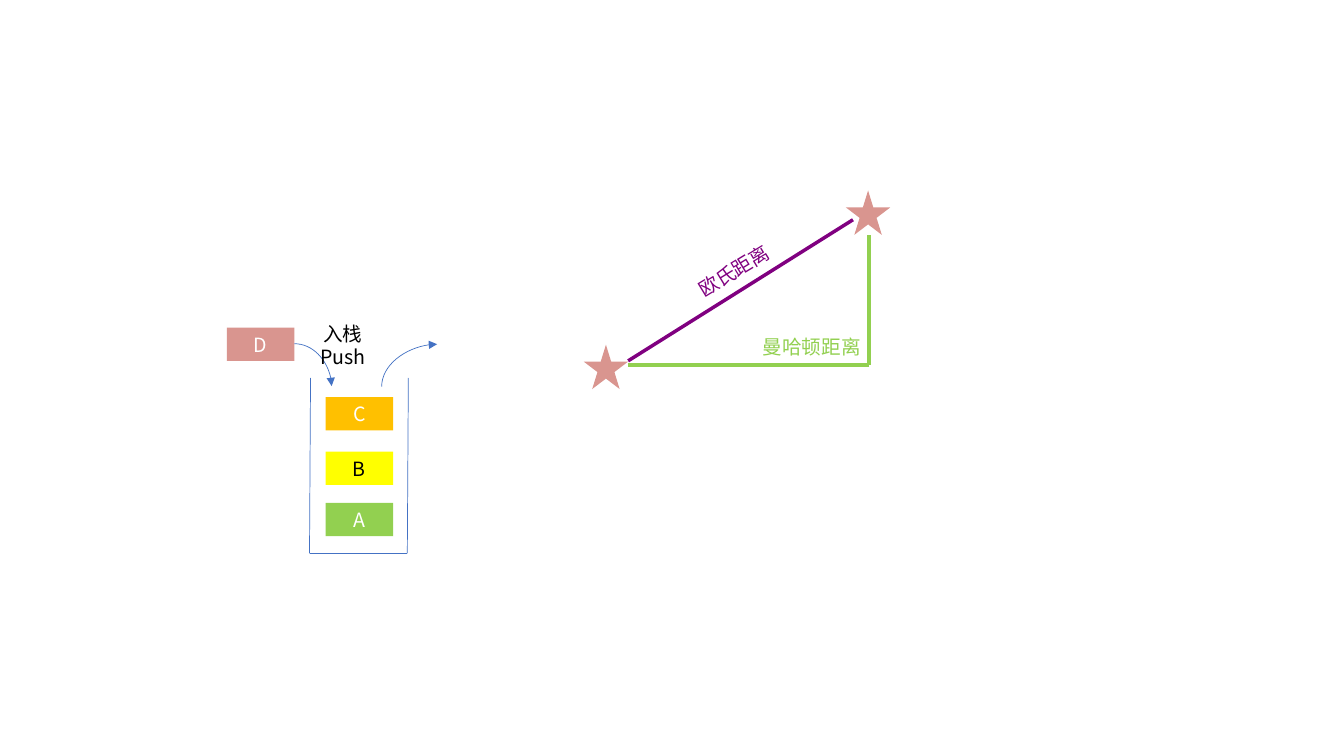
from lxml import etree
from pptx import Presentation
from pptx.dml.color import RGBColor
from pptx.enum.shapes import MSO_CONNECTOR, MSO_SHAPE
from pptx.enum.text import MSO_ANCHOR, PP_ALIGN
from pptx.oxml.ns import qn
from pptx.util import Inches, Pt

STRAIGHT, CURVE = MSO_CONNECTOR.STRAIGHT, MSO_CONNECTOR.CURVE
RECTANGLE, STAR = MSO_SHAPE.RECTANGLE, MSO_SHAPE.STAR_5_POINT
MIDDLE, CENTER = MSO_ANCHOR.MIDDLE, PP_ALIGN.CENTER
FONT = "Noto Sans CJK SC"
COLORS = {
    "blue": "4472C4",
    "orange": "FFC000",
    "yellow": "FFFF00",
    "green": "92D050",
    "rose": "D9958F",
    "purple": "800080",
    "white": "FFFFFF",
    "black": "000000",
}


def color(name):
    """Return the named colour."""
    return RGBColor.from_string(COLORS[name])


def write(shape, text, ink):
    """Put centred text in a shape and format its runs."""
    frame = shape.text_frame
    frame.word_wrap = True
    frame.text = text
    for para in frame.paragraphs:
        para.alignment = CENTER
        for span in para.runs:
            span.font.size = Pt(14)
            span.font.name = FONT
            span.font.color.rgb = color(ink)
            east_asian = etree.SubElement(span.font._element, qn("a:ea"))
            east_asian.set("typeface", FONT)


def add_label(page, left, top, height, text, ink, rotation=0):
    """Add a text label of the common width."""
    label = page.shapes.add_textbox(Inches(left), Inches(top), Inches(1.4), Inches(height))
    label.rotation = rotation
    write(label, text, ink)


def add_solid(page, kind, left, top, width, height, fill):
    """Add a filled shape without outline or shadow."""
    shape = page.shapes.add_shape(kind, Inches(left), Inches(top), Inches(width), Inches(height))
    shape.shadow.inherit = False
    shape.fill.solid()
    shape.fill.fore_color.rgb = color(fill)
    shape.line.fill.background()
    return shape


def add_line(page, start, end, ink, weight, kind=STRAIGHT):
    """Join two points with a plain line."""
    points = [Inches(value) for value in (*start, *end)]
    line = page.shapes.add_connector(kind, *points)
    line.line.color.rgb = color(ink)
    line.line.width = Pt(weight)
    etree.SubElement(line._element.spPr, qn("a:effectLst"))
    return line


def add_curved_arrow(page, start, end, turn=0):
    """Add a quarter-curve arrow, turned clockwise by whole degrees."""
    arrow = add_line(page, start, end, "blue", 0.5, CURVE)
    properties = arrow._element.spPr
    properties.find(qn("a:prstGeom")).set("prst", "curvedConnector2")
    if turn:
        properties.find(qn("a:xfrm")).set("rot", str(turn * 60000))
    tail = etree.SubElement(properties.find(qn("a:ln")), qn("a:tailEnd"))
    tail.set("type", "triangle")


def add_item(page, left, top, letter, fill, ink):
    """Add one lettered stack item."""
    item = add_solid(page, RECTANGLE, left, top, 0.67, 0.33, fill)
    item.text_frame.vertical_anchor = MIDDLE
    write(item, letter, ink)


def draw_stack(page, left, top):
    """Draw the open stack, its items and the push and pop arrows."""
    rim, base = top + 0.61, top + 2.35
    wall_left, wall_right = left + 0.82, left + 1.79
    for wall in (wall_left, wall_right):
        add_line(page, (wall + 0.01, rim), (wall, base), "blue", 0.5)
    add_line(page, (wall_left, base), (wall_right, base), "blue", 0.5)
    items = (
        (0.98, 0.8, "C", "orange", "white"),
        (0.98, 1.34, "B", "yellow", "black"),
        (0.98, 1.85, "A", "green", "white"),
        (0, 0.11, "D", "rose", "white"),
    )
    for across, down, letter, fill, ink in items:
        add_item(page, left + across, top + down, letter, fill, ink)
    add_curved_arrow(page, (left + 0.67, top + 0.27), (left + 1.04, top + 0.69))
    add_curved_arrow(page, (left + 2.02, top + 0.76), (left + 1.6, top + 0.21), 90)
    add_label(page, left + 0.45, top, 0.57, "入栈\nPush", "black")


def draw_distances(page, left, top):
    """Draw two stars with the Euclidean and Manhattan paths between them."""
    for across, down in ((0, 1.53), (2.6, 0)):
        add_solid(page, STAR, left + across, top + down, 0.44, 0.44, "rose")
    corner = (left + 2.83, top + 1.73)
    add_line(page, corner, (left + 0.44, corner[1]), "green", 2.5)
    add_line(page, corner, (corner[0], top + 0.44), "green", 2.5)
    add_line(page, (left + 2.67, top + 0.29), (left + 0.44, top + 1.69), "purple", 2.5)
    add_label(page, left + 0.79, top + 0.63, 0.34, "欧氏距离", "purple", 328.6)
    add_label(page, left + 1.56, top + 1.38, 0.34, "曼哈顿距离", "green")


def main():
    """Build and save the slide."""
    deck = Presentation()
    deck.slide_width, deck.slide_height = Inches(13.33), Inches(7.5)
    page = deck.slides.add_slide(deck.slide_layouts[6])
    draw_stack(page, 2.25, 3.14)
    draw_distances(page, 5.79, 1.89)
    deck.save("out.pptx")


if __name__ == "__main__":
    main()
